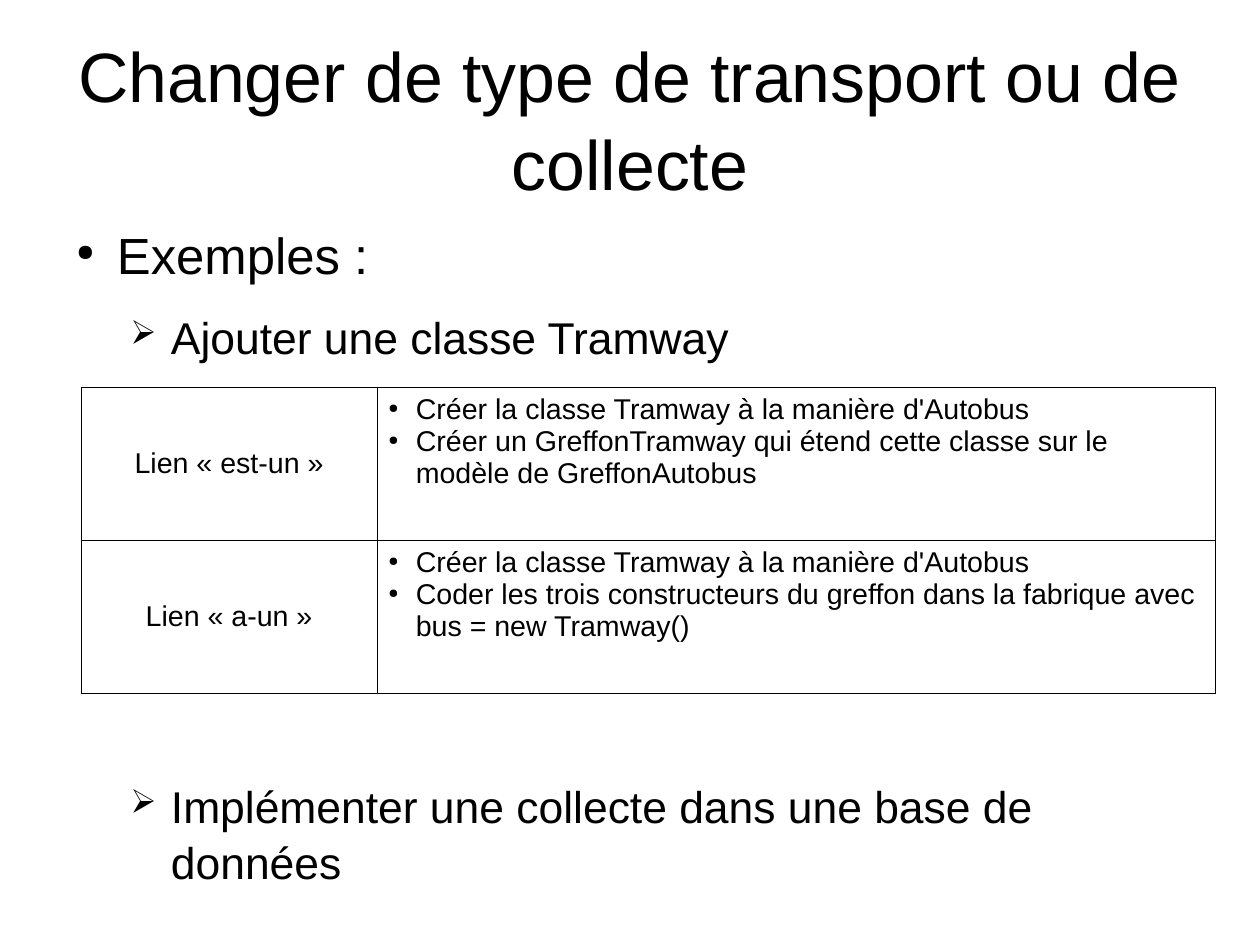
from lxml import etree
from pptx import Presentation
from pptx.dml.color import RGBColor
from pptx.enum import text
from pptx.oxml import ns
from pptx.util import Cm, Pt

COLORS = {"ink": "000000", "paper": "FFFFFF"}
FONT = "Arial"
LEFT, WIDTH = 1.4, 25.2
CENTER = {"alignment": text.PP_ALIGN.CENTER}
LOOSE = {"line_spacing": 1.05}

# Bullet: character, size in percent, text indent and hanging part in cm
POINT = ("●", 45, 1.2, 0.9)
ARROW = ("➢", 75, 2.4, 0.9)
CELL_POINT = ("●", 45, 0.61, 0.61)

ROWS = [
    ("Lien « est-un »", [
        "Créer la classe Tramway à la manière d'Autobus",
        "Créer un GreffonTramway qui étend cette classe sur le modèle de GreffonAutobus",
    ]),
    ("Lien « a-un »", [
        "Créer la classe Tramway à la manière d'Autobus",
        "Coder les trois constructeurs du greffon dans la fabrique avec bus = new Tramway()",
    ]),
]


def apply(target, values):
    for name, value in values.items():
        setattr(target, name, value)


def add_child(parent, tag, **attributes):
    return etree.SubElement(parent, ns.qn(tag), attributes)


def add_ink(parent, tag):
    add_child(add_child(parent, tag), "a:srgbClr", val=COLORS["ink"])


def add_bullet(p, char, percent, indent, hanging):
    pPr = p._p.get_or_add_pPr()
    pPr.set("marL", str(Cm(indent)))
    pPr.set("indent", str(-Cm(hanging)))
    add_ink(pPr, "a:buClr")
    add_child(pPr, "a:buSzPct", val=str(percent * 1000))
    add_child(pPr, "a:buChar", char=char)


def write(tf, lines):
    """Fill a text frame with (wording, size, paragraph format, bullet) lines."""
    for i, (wording, size, values, bullet) in enumerate(lines):
        p = tf.add_paragraph() if i else tf.paragraphs[0]
        apply(p, values)
        if bullet:
            add_bullet(p, *bullet)
        r = p.add_run()
        r.text = wording
        apply(r.font, {"name": FONT, "size": Pt(size)})
        r.font.color.rgb = RGBColor.from_string(COLORS["ink"])


def add_text(s, box, lines, anchor=text.MSO_ANCHOR.TOP, top_inset=0):
    tf = s.shapes.add_textbox(*map(Cm, box)).text_frame
    apply(tf, {"word_wrap": True, "vertical_anchor": anchor,
               "margin_left": 0, "margin_right": 0,
               "margin_top": Cm(top_inset), "margin_bottom": 0})
    write(tf, lines)


def add_title(s, box):
    add_text(s, box, [("Changer de type de transport ou de collecte", 44,
                       {**CENTER, **LOOSE}, None)], text.MSO_ANCHOR.MIDDLE)


def arrow_line(wording):
    return wording, 28, {**LOOSE, "level": 1, "space_after": Pt(11.3)}, ARROW


def add_examples(s, box):
    add_text(s, box, [
        ("Exemples :", 32, {**LOOSE, "space_after": Pt(14.2)}, POINT),
        arrow_line("Ajouter une classe Tramway"),
    ])


def add_next_example(s, box):
    add_text(s, box, [arrow_line("Implémenter une collecte dans une base de données")],
             top_inset=1.86)


def format_cell(cell, anchor):
    """Thin border on every side, no fill."""
    tcPr = cell._tc.get_or_add_tcPr()
    for side in "LRTB":
        add_ink(add_child(tcPr, f"a:ln{side}", w=str(Pt(0.57))), "a:solidFill")
    cell.fill.background()
    apply(cell, {"vertical_anchor": anchor,
                 "margin_left": Cm(0.25), "margin_right": Cm(0.25),
                 "margin_top": Cm(0.13), "margin_bottom": Cm(0.13)})


def add_links_table(s, box):
    label_width = 6.58
    table = s.shapes.add_table(len(ROWS), 2, *map(Cm, box)).table
    apply(table, {"first_row": False, "horz_banding": False})
    for column, width in zip(table.columns, (label_width, box[2] - label_width)):
        column.width = Cm(width)
    for i, (label, steps) in enumerate(ROWS):
        label_cell, steps_cell = table.cell(i, 0), table.cell(i, 1)
        format_cell(label_cell, text.MSO_ANCHOR.MIDDLE)
        format_cell(steps_cell, text.MSO_ANCHOR.TOP)
        write(label_cell.text_frame, [(label, 18, CENTER, None)])
        write(steps_cell.text_frame, [(step, 18, {}, CELL_POINT) for step in steps])


def main():
    prs = Presentation()
    apply(prs, {"slide_width": Cm(28), "slide_height": Cm(21)})
    s = prs.slides.add_slide(prs.slide_layouts[6])
    s.background.fill.solid()
    s.background.fill.fore_color.rgb = RGBColor.from_string(COLORS["paper"])
    add_title(s, (LEFT, 0.84, WIDTH, 3.5))
    add_examples(s, (LEFT, 4.9, WIDTH, 5.82))
    add_links_table(s, (1.8, 8.61, WIDTH, 6.8))
    add_next_example(s, (LEFT, 15.4, WIDTH, 5.6))
    prs.save("out.pptx")


if __name__ == "__main__":
    main()
